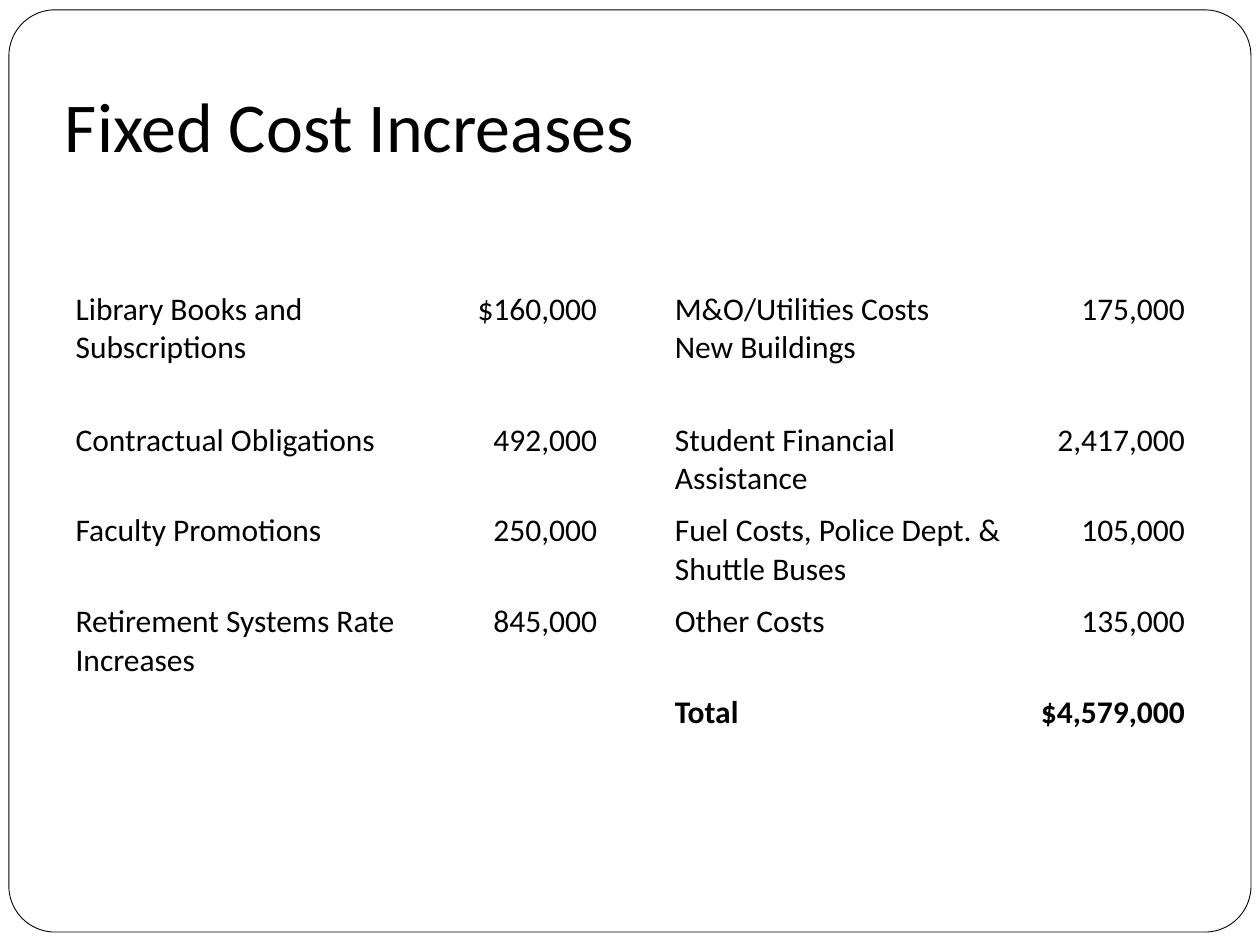
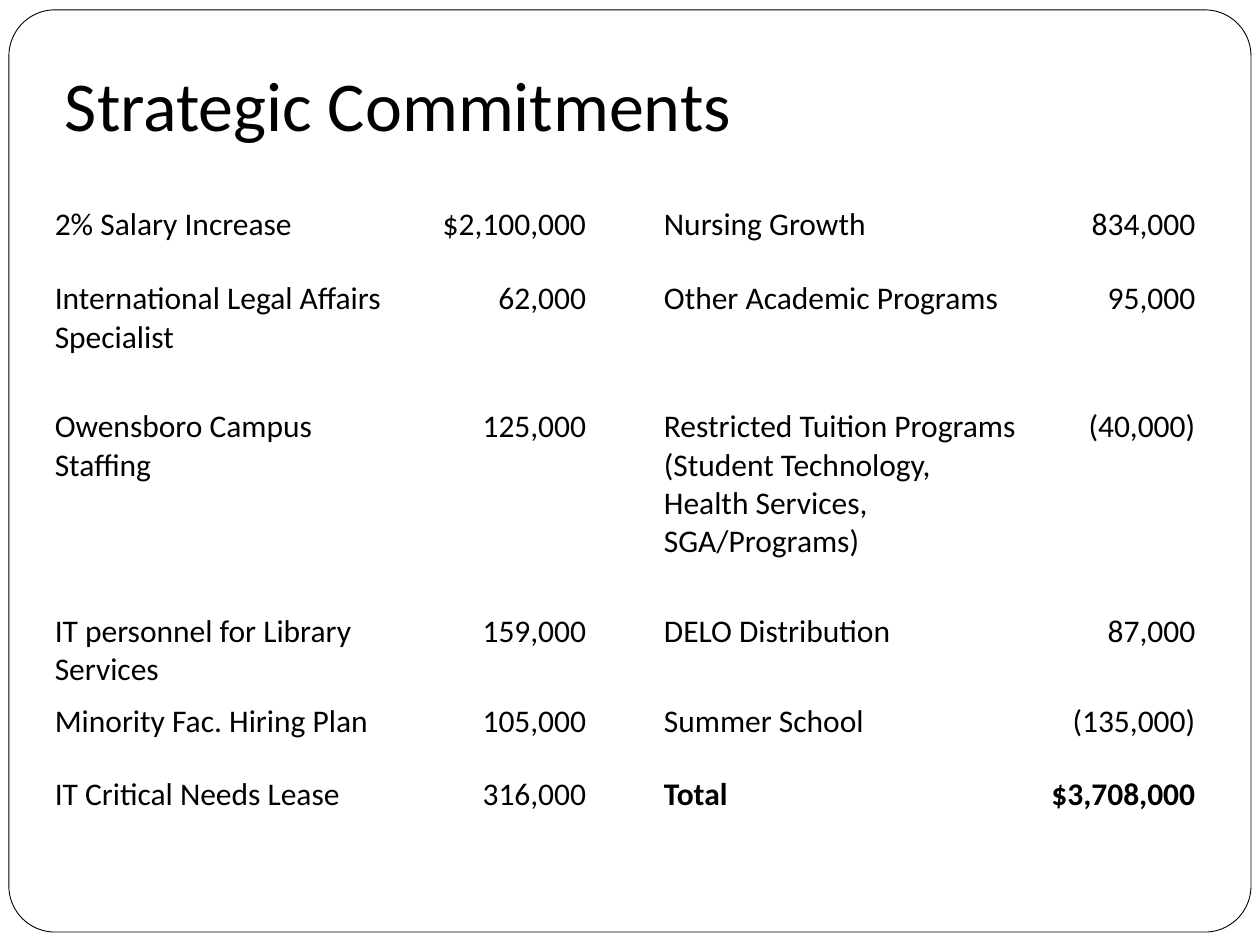
"""Build two budget slides: fixed cost increases and strategic commitments."""
from pptx import Presentation
from pptx.dml.color import RGBColor
from pptx.enum.shapes import MSO_SHAPE
from pptx.enum.text import MSO_ANCHOR, MSO_AUTO_SIZE, PP_ALIGN
from pptx.util import Cm, Pt

ROUNDED = MSO_SHAPE.ROUNDED_RECTANGLE
BOTTOM, TOP = MSO_ANCHOR.BOTTOM, MSO_ANCHOR.TOP
NO_FIT = MSO_AUTO_SIZE.NONE
LEFT, RIGHT = PP_ALIGN.LEFT, PP_ALIGN.RIGHT
TITLE_ONLY = 5
BLACK, WHITE = "000000", "FFFFFF"
FONT = "Calibri"
AMOUNT_COLUMNS = (1, 4)

FIXED_COSTS = [
    ("Library Books and Subscriptions", "$160,000", "",
     "M&O/Utilities Costs\nNew Buildings", "175,000"),
    ("Contractual Obligations", "492,000", "",
     "Student Financial Assistance", "2,417,000"),
    ("Faculty Promotions", "250,000", "",
     "Fuel Costs, Police Dept. & Shuttle Buses", "105,000"),
    ("Retirement Systems Rate Increases", "845,000", "",
     "Other Costs", "135,000"),
    ("", "", "", "Total", "$4,579,000"),
]
COMMITMENTS = [
    ("2% Salary Increase", "$2,100,000", "", "Nursing Growth", "834,000"),
    ("International Legal Affairs Specialist", "62,000", "",
     "Other Academic Programs", "95,000"),
    ("Owensboro Campus Staffing", "125,000", "",
     "Restricted Tuition Programs (Student Technology, Health Services, "
     "SGA/Programs)", "(40,000)"),
    ("IT personnel for Library Services", "159,000", "",
     "DELO Distribution", "87,000"),
    ("Minority Fac. Hiring Plan", "105,000", "",
     "Summer School", "(135,000)"),
    ("IT Critical Needs Lease", "316,000", "", "Total", "$3,708,000"),
    ("",) * 5,
]


def color(value):
    """Return the colour for a hex string."""
    return RGBColor.from_string(value)


def apply_format(target, values):
    """Set each named attribute of the target."""
    for name, value in values.items():
        setattr(target, name, value)


def style_paragraph(para, size, align, bold=False):
    """Give a paragraph the deck's font and its alignment."""
    para.alignment = align
    apply_format(para.font, {"name": FONT, "size": Pt(size), "bold": bold})
    para.font.color.rgb = color(BLACK)


def add_frame(page):
    """Draw the rounded page frame behind the title."""
    frame = page.shapes.add_shape(ROUNDED, Cm(0.18), Cm(0.2), Cm(25.04), Cm(18.59))
    frame.adjustments[0] = 0.05
    frame.shadow.inherit = False
    frame.fill.solid()
    frame.fill.fore_color.rgb = color(WHITE)
    frame.line.color.rgb = color(BLACK)
    frame.line.width = Pt(0.5)
    page.shapes.title.element.addprevious(frame.element)


def set_title(page, text, top):
    """Place and format the slide title."""
    title = page.shapes.title
    apply_format(title, {"left": Cm(1.06), "top": Cm(top),
                         "width": Cm(22.86), "height": Cm(2.34)})
    apply_format(title.text_frame, {
        "text": text, "auto_size": NO_FIT, "vertical_anchor": BOTTOM,
        "margin_left": Cm(0.25), "margin_right": Cm(0.25),
        "margin_top": Cm(0.13), "margin_bottom": Cm(0.25)})
    style_paragraph(title.text_frame.paragraphs[0], 40, LEFT)


def fill_cell(cell, text, align, bold):
    """Write one unfilled table cell."""
    cell.fill.background()
    cell.vertical_anchor = TOP
    cell.text_frame.text = text
    for para in cell.text_frame.paragraphs:
        style_paragraph(para, 18, align, bold)


def add_cost_table(page, left, top, widths, heights, entries):
    """Add a plain table of cost names and amounts."""
    table = page.shapes.add_table(
        len(entries), len(widths), Cm(left), Cm(top),
        Cm(sum(widths)), Cm(sum(heights))).table
    apply_format(table, {"first_row": False, "horz_banding": False})
    for column, width in zip(table.columns, widths):
        column.width = Cm(width)
    for row, height, texts in zip(table.rows, heights, entries):
        row.height = Cm(height)
        for index, (cell, text) in enumerate(zip(row.cells, texts)):
            align = RIGHT if index in AMOUNT_COLUMNS else LEFT
            fill_cell(cell, text, align, "Total" in texts and index > 2)


def add_page(deck, title, title_top):
    """Add a framed slide with its title."""
    page = deck.slides.add_slide(deck.slide_layouts[TITLE_ONLY])
    add_frame(page)
    set_title(page, title, title_top)
    return page


def main():
    """Build and save the deck."""
    deck = Presentation()
    apply_format(deck, {"slide_width": Cm(25.4), "slide_height": Cm(19.05)})
    page = add_page(deck, "Fixed Cost Increases", 1.27)
    add_cost_table(page, 1.27, 5.72, (7.42, 3.6, 1.06, 7.19, 3.6),
                   (2.64, 1.83, 1.83, 1.83, 2.62), FIXED_COSTS)
    page = add_page(deck, "Strategic Commitments", 0.84)
    add_cost_table(page, 0.85, 4.02, (7.62, 3.6, 1.06, 7.62, 3.6),
                   (1.49, 2.58, 4.13, 1.8, 1.49, 1.49, 1.49), COMMITMENTS)
    deck.save("out.pptx")


if __name__ == "__main__":
    main()
